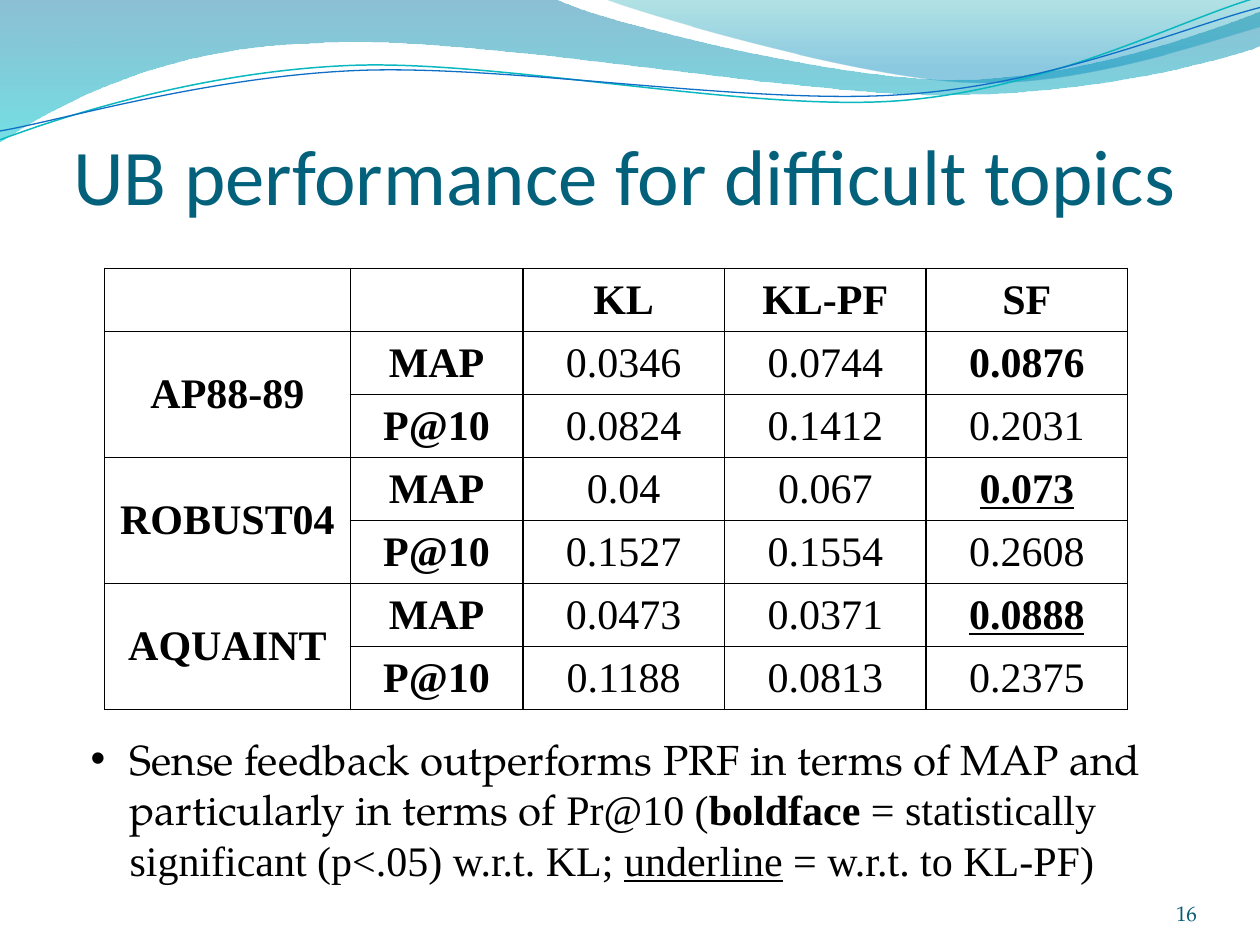
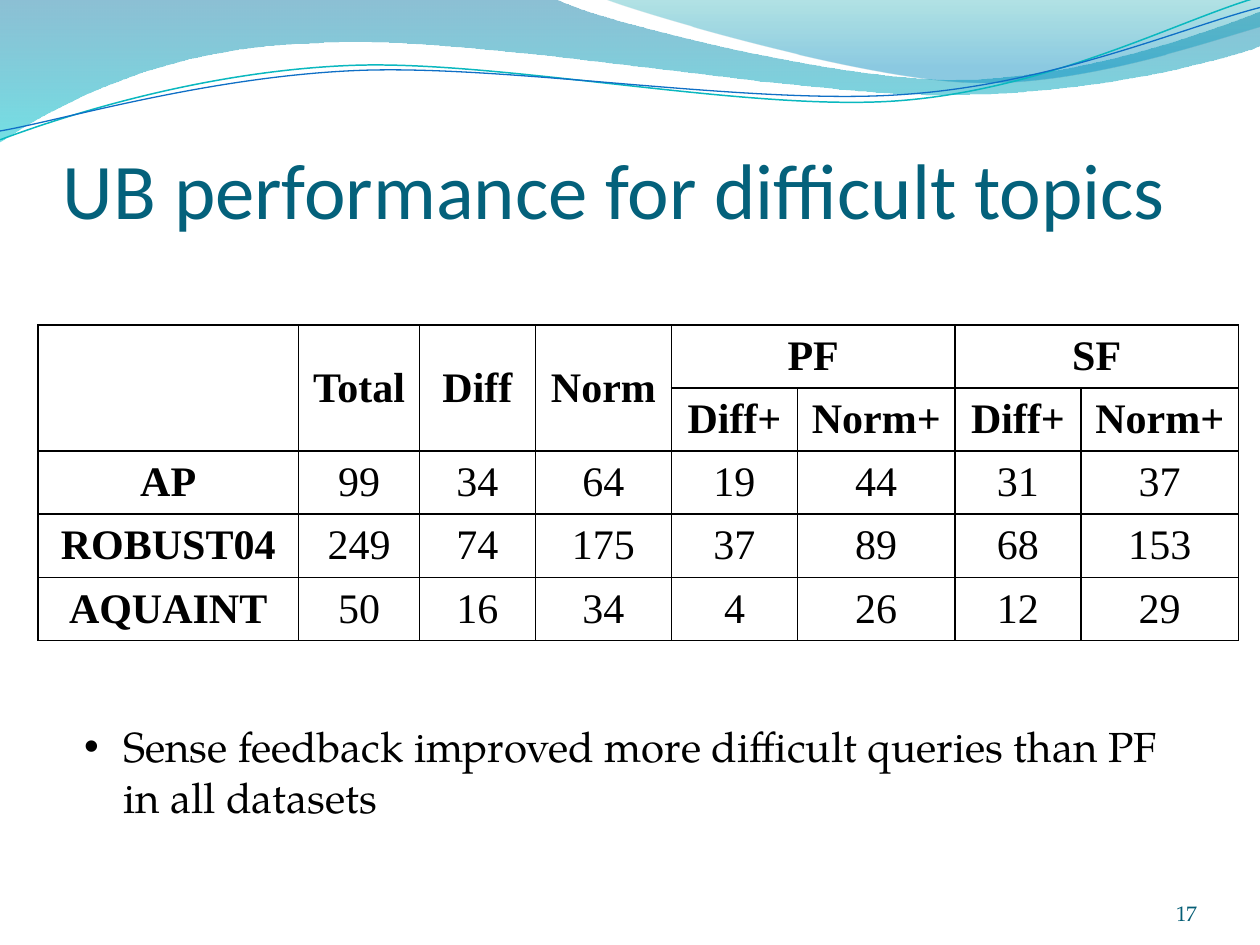
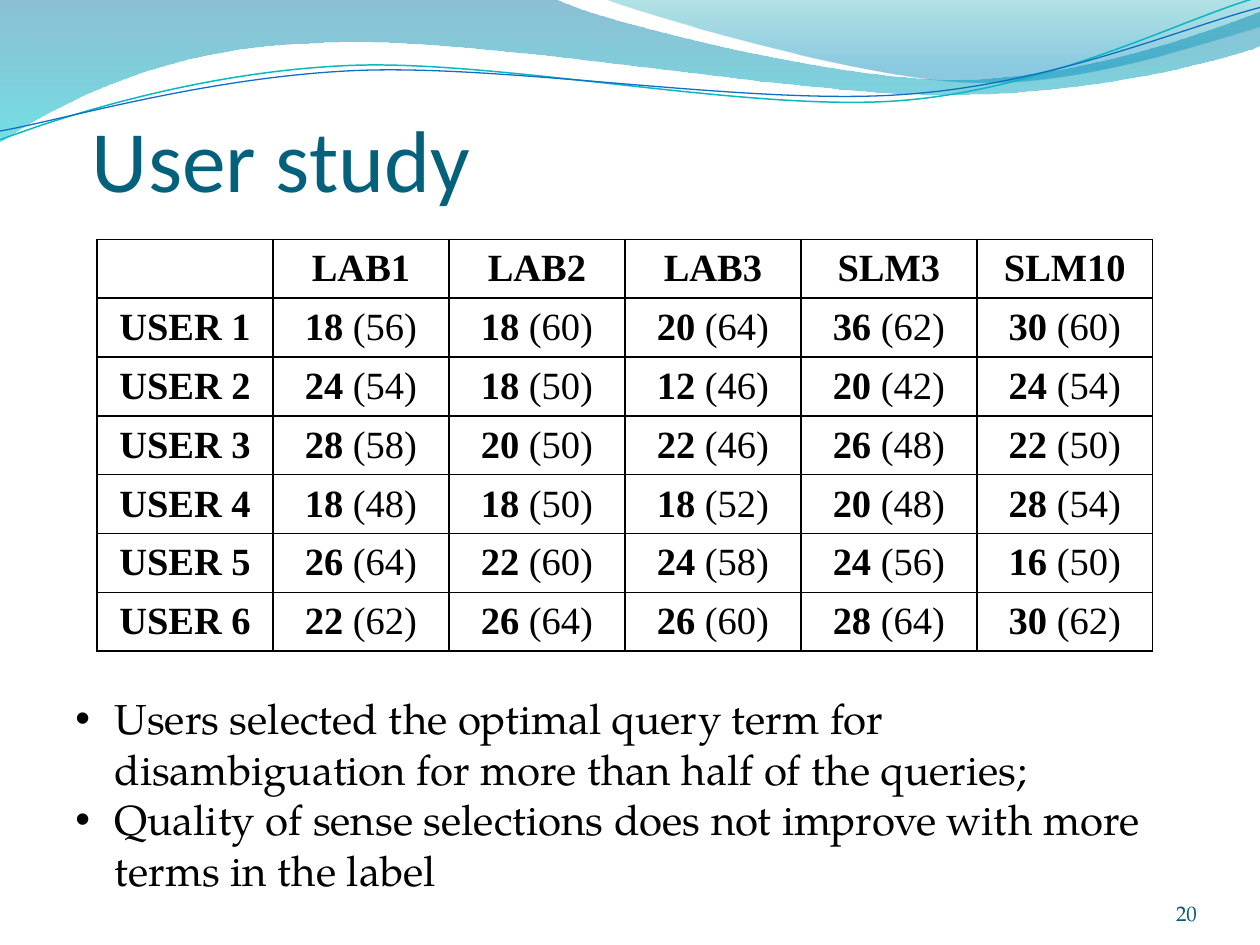
import math

from lxml import etree
from pptx import Presentation
from pptx import util as u
from pptx.dml.color import RGBColor
from pptx.enum import text as t
from pptx.oxml.ns import qn

BLACK = RGBColor(0x00, 0x00, 0x00)
TITLE_BLUE = RGBColor(0x04, 0x61, 0x7B)
NUMBER_BLUE = RGBColor(0x04, 0x5D, 0x75)
DEEP_BLUE = RGBColor(0x00, 0x74, 0xA1)
CYAN = RGBColor(0x00, 0xC6, 0xCF)
TEAL = RGBColor(0x00, 0xA1, 0xA9)
SKY = RGBColor(0x00, 0x8B, 0xBF)
LINE_TEAL = RGBColor(0x0A, 0xB8, 0xBF)
LINE_BLUE = RGBColor(0x0F, 0x6F, 0xC6)

HEADING, BODY, SERIF = "Calibri", "TeX Gyre Pagella", "Times New Roman"
BOLD, UNDERLINE = {"bold": True}, {"underline": True}
LINE_TILT = 2.7  # degrees, anticlockwise

# Wave outlines: a pair is a straight segment, six numbers are a cubic curve
BACK_WAVE = [(0, 0), (4.4, -0.01), (4.76, 0.17, 6.64, 0.63, 7.58, 0.63),
             (8.53, 0.63, 9.58, 0.26, 10, 0.09), (10.01, 0.36),
             (9.83, 0.44, 8.7, 0.76, 7.46, 0.75),
             (6.22, 0.75, 3.82, 0.28, 2.57, 0.34),
             (1.29, 0.36, 0.46, 0.83, -0.01, 1.13), (0, 0)]
RIGHT_WAVE = [(4.79, -0.01), (5.09, 0.11, 6.82, 0.62, 7.69, 0.65),
              (8.56, 0.69, 9.61, 0.32, 10, 0.21), (10, 0), (4.79, -0.01)]
TEAL_LINE = [(0, 1.11), (0.48, 0.93, 1.58, 0.57, 2.77, 0.52),
             (3.95, 0.47, 5.93, 0.89, 7.13, 0.8),
             (8.33, 0.71, 9.38, 0.15, 9.98, -0.02)]
BLUE_LINE = [(0, 1.04), (0.47, 0.96, 1.64, 0.61, 2.83, 0.56),
             (4.03, 0.51, 5.97, 0.84, 7.17, 0.75),
             (8.36, 0.67, 9.41, 0.21, 10, 0.06)]


def write(frame, paragraphs, size, font, color=BLACK, bold=False,
          align=t.PP_ALIGN.LEFT, bullet=False):
    """Each paragraph is a string or a list of (text, run format) pairs."""
    for i, runs in enumerate(paragraphs):
        para = frame.paragraphs[0] if i == 0 else frame.add_paragraph()
        para.alignment = align
        if bullet:
            props = para._p.get_or_add_pPr()
            props.set("marL", str(u.Inches(0.31)))
            props.set("indent", str(-u.Inches(0.31)))
            etree.SubElement(props, qn("a:buFont")).set("typeface", "Arial")
            etree.SubElement(props, qn("a:buChar")).set("char", "•")
        for words, changes in [(runs, {})] if isinstance(runs, str) else runs:
            run = para.add_run()
            run.text = words
            run.font.size, run.font.name = u.Pt(size), changes.get("font", font)
            run.font.color.rgb = color
            run.font.bold = changes.get("bold", bold)
            run.font.underline = changes.get("underline", False)


def add_text(slide, box, paragraphs, anchor=t.MSO_ANCHOR.TOP, insets=None,
             grow=False, **style):
    frame = slide.shapes.add_textbox(*map(u.Inches, box)).text_frame
    frame.word_wrap = True
    frame.vertical_anchor = anchor
    if grow:
        frame.auto_size = t.MSO_AUTO_SIZE.SHAPE_TO_FIT_TEXT
    if insets:
        (frame.margin_left, frame.margin_top,
         frame.margin_right, frame.margin_bottom) = map(u.Inches, insets)
    write(frame, paragraphs, **style)


def add_outline(shapes, outline, close):
    """Freeform through the segment ends, whose curves then get their handles."""
    segments = [[u.Inches(n) for n in segment] for segment in outline]
    builder = shapes.build_freeform(*segments[0])
    builder.add_line_segments([s[-2:] for s in segments[1:]], close=close)
    shape = builder.convert_to_shape()
    shape.shadow.inherit = False
    left, top = shape.left, shape.top
    steps = list(shape._element.spPr.iter(qn("a:lnTo")))
    for step, segment in zip(steps, segments[1:]):
        if len(segment) == 6:
            curve = etree.Element(qn("a:cubicBezTo"))
            for x, y in zip(segment[::2], segment[1::2]):
                etree.SubElement(curve, qn("a:pt"), x=str(x - left), y=str(y - top))
            step.getparent().replace(step, curve)
    return shape


def add_wave(shapes, outline, stops):
    """Filled wave; stops are (position, colour, opacity percent)."""
    wave = add_outline(shapes, outline, True)
    wave.line.fill.background()
    wave.fill.gradient()
    wave.fill.gradient_angle = 270
    for stop, (position, color, _) in zip(wave.fill.gradient_stops, stops):
        stop.position, stop.color.rgb = position, color
    colors = wave._element.spPr.find(qn("a:gradFill")).iter(qn("a:srgbClr"))
    for node, (_, _, opacity) in zip(colors, stops):
        etree.SubElement(node, qn("a:alpha")).set("val", str(opacity * 1000))


def add_wave_line(shapes, outline, center, color, width):
    """Thin line, laid level around its center and then tilted."""
    cx, cy = center
    cos, sin = math.cos(math.radians(LINE_TILT)), math.sin(math.radians(LINE_TILT))
    level = []
    for segment in outline:
        turned = []
        for x, y in zip(segment[::2], segment[1::2]):
            turned += [cx + (x - cx) * cos - (y - cy) * sin,
                       cy + (x - cx) * sin + (y - cy) * cos]
        level.append(turned)
    line = add_outline(shapes, level, False)
    line.rotation = 360 - LINE_TILT
    line.fill.background()
    line.line.color.rgb, line.line.width = color, u.Pt(width)


def add_bands(slide):
    add_wave(slide.shapes, BACK_WAVE, [(0, DEEP_BLUE, 45), (1, CYAN, 55)])
    add_wave(slide.shapes, RIGHT_WAVE, [(0, TEAL, 30), (0.8, SKY, 45)])
    lines = slide.shapes.add_group_shape().shapes
    add_wave_line(lines, TEAL_LINE, (4.99, 0.58), LINE_TEAL, 0.85)
    add_wave_line(lines, BLUE_LINE, (5, 0.59), LINE_BLUE, 0.75)


def add_borders(cell):
    props = cell._tc.get_or_add_tcPr()
    for side in ("lnL", "lnR", "lnT", "lnB"):
        edge = etree.SubElement(props, qn("a:" + side), w=str(u.Pt(1)))
        fill = etree.SubElement(edge, qn("a:solidFill"))
        etree.SubElement(fill, qn("a:srgbClr")).set("val", str(BLACK))


def add_grid(slide, left, top, height, columns, rows, size=24,
             head_rows=1, head_columns=1, spans=()):
    """Bordered table; spans are (row, column, rows down, columns across)."""
    table = slide.shapes.add_table(
        len(rows), len(columns), u.Inches(left), u.Inches(top),
        u.Inches(sum(columns)), u.Inches(height)).table
    table.first_row = table.horz_banding = False
    for column, width in zip(table.columns, columns):
        column.width = u.Inches(width)
    for r, values in enumerate(rows):
        table.rows[r].height = u.Inches(height / len(rows))
        for c, value in enumerate(values):
            cell = table.cell(r, c)
            add_borders(cell)
            cell.fill.background()
            cell.vertical_anchor = t.MSO_ANCHOR.MIDDLE
            if value:
                write(cell.text_frame, [value], size=size, font=SERIF,
                      bold=r < head_rows or c < head_columns,
                      align=t.PP_ALIGN.CENTER)
    for r, c, down, across in spans:
        table.cell(r, c).merge(table.cell(r + down - 1, c + across - 1))


def add_slide(deck, title, title_at, number, bullets, bullets_box, title_size=45):
    """Slide with the shared bands, title, bullets and page number."""
    slide = deck.slides.add_slide(deck.slide_layouts[6])
    add_bands(slide)
    add_text(slide, (*title_at, 9, 1.25), [title], anchor=t.MSO_ANCHOR.BOTTOM,
             insets=(0, 0.05, 0, 0), size=title_size, font=HEADING, color=TITLE_BLUE)
    add_text(slide, bullets_box, bullets, grow=True, size=24, font=BODY, bullet=True)
    add_text(slide, (8.67, 6.95, 0.83, 0.4), [str(number)],
             anchor=t.MSO_ANCHOR.BOTTOM, insets=(0, 0, 0, 0), size=12, font=BODY,
             color=NUMBER_BLUE, align=t.PP_ALIGN.RIGHT)
    return slide


def precision_slide(deck):
    serif = {"font": SERIF}
    note = [("Sense feedback outperforms PRF in terms of MAP and particularly "
             "in terms of ", {}),
            ("Pr@10 (", serif), ("boldface", serif | BOLD),
            (" = statistically significant (p<.05) w.r.t. KL; ", serif),
            ("underline", serif | UNDERLINE), (" = w.r.t. to KL-PF)", serif)]
    slide = add_slide(deck, "UB performance for difficult topics", (0.58, 0.51), 16,
                      [note], (0.62, 5.77, 8.92, 1.31))
    both = BOLD | UNDERLINE
    rows = [
        ["", "", "KL", "KL-PF", "SF"],
        ["AP88-89", "MAP", "0.0346", "0.0744", [("0.0876", BOLD)]],
        ["", "P@10", "0.0824", "0.1412", "0.2031"],
        ["ROBUST04", "MAP", "0.04", "0.067", [("0.073", both)]],
        ["", "P@10", "0.1527", "0.1554", "0.2608"],
        ["AQUAINT", "MAP", "0.0473", "0.0371", [("0.0888", both)]],
        ["", "P@10", "0.1188", "0.0813", "0.2375"],
    ]
    add_grid(slide, 0.83, 2.13, 3.5, [1.95, 1.37] + [1.6] * 3, rows,
             head_columns=2, spans=[(r, 0, 2, 1) for r in (1, 3, 5)])


def query_count_slide(deck):
    slide = add_slide(deck, "UB performance for difficult topics", (0.5, 0.62), 17,
                      ["Sense feedback improved more difficult queries than PF "
                       "in all datasets"], (0.57, 5.67, 8.92, 0.91))
    rows = [
        ["", "Total", "Diff", "Norm", "PF", "", "SF", ""],
        [""] * 4 + ["Diff+", "Norm+"] * 2,
        ["AP", "99", "34", "64", "19", "44", "31", "37"],
        ["ROBUST04", "249", "74", "175", "37", "89", "68", "153"],
        ["AQUAINT", "50", "16", "34", "4", "26", "12", "29"],
    ]
    add_grid(slide, 0.3, 2.58, 2.5, [2.07, 0.96, 0.92, 1.08] + [1, 1.25] * 2, rows,
             head_rows=2, spans=[(0, c, 2, 1) for c in range(4)]
             + [(0, c, 1, 2) for c in (4, 6)])


def user_study_slide(deck):
    slide = add_slide(deck, "User study", (0.73, 0.42), 20,
                      ["Users selected the optimal query term for disambiguation "
                       "for more than half of the queries;",
                       "Quality of sense selections does not improve with more "
                       "terms in the label"],
                      (0.5, 5.45, 8.92, 1.72), title_size=50)
    scores = [
        [(18, 56), (18, 60), (20, 64), (36, 62), (30, 60)],
        [(24, 54), (18, 50), (12, 46), (20, 42), (24, 54)],
        [(28, 58), (20, 50), (22, 46), (26, 48), (22, 50)],
        [(18, 48), (18, 50), (18, 52), (20, 48), (28, 54)],
        [(26, 64), (22, 60), (24, 58), (24, 56), (16, 50)],
        [(22, 62), (26, 64), (26, 60), (28, 64), (30, 62)],
    ]
    rows = [["", "LAB1", "LAB2", "LAB3", "SLM3", "SLM10"]]
    for user, pairs in enumerate(scores, 1):
        rows.append([f"USER {user}"] + [[(str(best), BOLD), (f" ({other})", {})]
                                        for best, other in pairs])
    add_grid(slide, 0.77, 1.9, 3.27, [8.38 / 6] * 6, rows, size=22)


deck = Presentation()
deck.slide_width, deck.slide_height = u.Inches(10), u.Inches(7.5)
precision_slide(deck)
query_count_slide(deck)
user_study_slide(deck)
deck.save("out.pptx")
